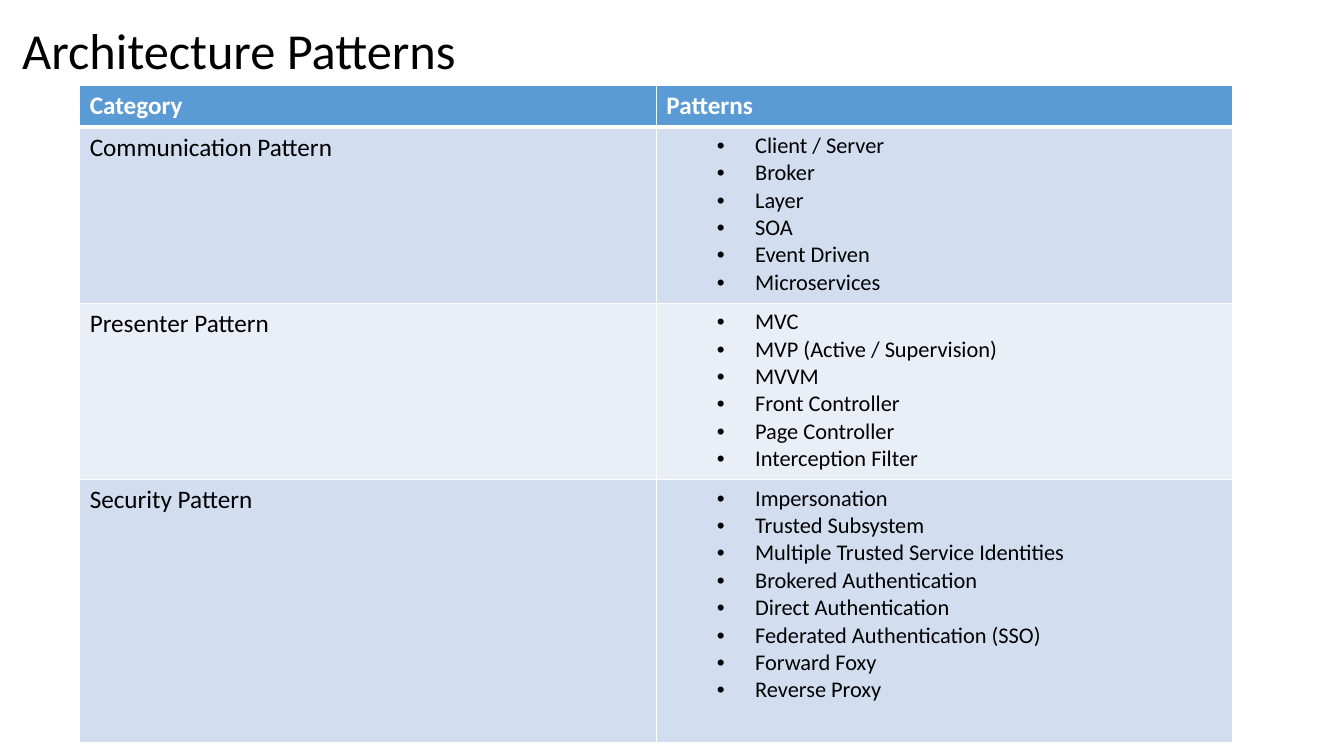
from dataclasses import dataclass

from lxml.etree import SubElement
from pptx import Presentation
from pptx.dml.color import RGBColor
from pptx.enum.text import MSO_ANCHOR, PP_ALIGN
from pptx.oxml.ns import qn
from pptx.slide import Slide
from pptx.table import Table, _Cell
from pptx.text.text import _Paragraph
from pptx.util import Inches, Pt


@dataclass(frozen=True)
class Theme:
    font: str = "Calibri"
    dark: str = "000000"
    light: str = "FFFFFF"
    head: str = "5B9BD5"
    bands: tuple[str, str] = ("D2DEEF", "EAEFF7")
    title: int = 36
    label: int = 18
    item: int = 16
    thin: int = 1
    thick: int = 3


@dataclass(frozen=True)
class Group:
    name: str
    height: float
    items: tuple[str, ...]


THEME = Theme()
HEADS = ("Category", "Patterns")
HEAD_H, COL_W = 0.41, 5.72
GROUPS = (
    Group("Communication Pattern", 1.75, (
        "Client / Server", "Broker", "Layer", "SOA", "Event Driven",
        "Microservices")),
    Group("Presenter Pattern", 1.75, (
        "MVC", "MVP (Active / Supervision)", "MVVM", "Front Controller",
        "Page Controller", "Interception Filter")),
    Group("Security Pattern", 2.61, (
        "Impersonation", "Trusted Subsystem",
        "Multiple Trusted Service Identities", "Brokered Authentication",
        "Direct Authentication", "Federated Authentication (SSO)",
        "Forward Foxy", "Reverse Proxy")),
)


def style(para: _Paragraph, size: int, color: str, bold: bool = False) -> None:
    form = {"name": THEME.font, "size": Pt(size), "bold": bold}
    for run in para.runs:
        for key, value in form.items():
            setattr(run.font, key, value)
        run.font.color.rgb = RGBColor.from_string(color)


def bullet(para: _Paragraph) -> None:
    para.level = 1
    props = para._p.get_or_add_pPr()
    props.set("marL", str(Inches(0.88)))
    props.set("indent", str(Inches(-0.38)))
    SubElement(props, qn("a:buFont"), typeface="Arial")
    SubElement(props, qn("a:buChar"), char="•")


def paint(cell: _Cell, color: str, top: int, base: int) -> None:
    props = cell._tc.get_or_add_tcPr()
    sides = {"L": THEME.thin, "R": THEME.thin, "T": top, "B": base}
    for side, width in sides.items():
        line = SubElement(props, qn(f"a:ln{side}"), w=str(Pt(width)))
        fill = SubElement(line, qn("a:solidFill"))
        SubElement(fill, qn("a:srgbClr"), val=THEME.light)
    cell.fill.solid()
    cell.fill.fore_color.rgb = RGBColor.from_string(color)


def add_title(slide: Slide, text: str) -> None:
    title = slide.shapes.title
    place = {"left": Inches(0.12), "top": Inches(0),
             "width": Inches(10), "height": Inches(0.85)}
    for key, value in place.items():
        setattr(title, key, value)
    frame = title.text_frame
    frame.text = text
    frame.vertical_anchor = MSO_ANCHOR.BOTTOM
    para = frame.paragraphs[0]
    para.alignment = PP_ALIGN.LEFT
    para.line_spacing = 0.9
    style(para, THEME.title, THEME.dark)


def fill_head(table: Table) -> None:
    table.rows[0].height = Inches(HEAD_H)
    for col, text in enumerate(HEADS):
        cell = table.cell(0, col)
        cell.text = text
        style(cell.text_frame.paragraphs[0], THEME.label, THEME.light, True)
        paint(cell, THEME.head, THEME.thin, THEME.thick)


def fill_row(table: Table, row: int, group: Group) -> None:
    table.rows[row].height = Inches(group.height)
    name, items = table.cell(row, 0), table.cell(row, 1)
    name.text = group.name
    style(name.text_frame.paragraphs[0], THEME.label, THEME.dark)
    items.text = "\n".join(group.items)
    for para in items.text_frame.paragraphs:
        bullet(para)
        style(para, THEME.item, THEME.dark)
    top = THEME.thick if row == 1 else THEME.thin
    for cell in (name, items):
        paint(cell, THEME.bands[(row - 1) % 2], top, THEME.thin)


def add_grid(slide: Slide) -> None:
    height = HEAD_H + sum(group.height for group in GROUPS)
    table = slide.shapes.add_table(
        len(GROUPS) + 1, len(HEADS), Inches(0.79), Inches(0.85),
        Inches(COL_W * len(HEADS)), Inches(height)).table
    for col in table.columns:
        col.width = Inches(COL_W)
    fill_head(table)
    for row, group in enumerate(GROUPS, 1):
        fill_row(table, row, group)


def main() -> None:
    deck = Presentation()
    deck.slide_width, deck.slide_height = Inches(13.33), Inches(7.5)
    # Title Only layout
    slide = deck.slides.add_slide(deck.slide_layouts[5])
    # Heading
    add_title(slide, "Architecture Patterns")
    # Table of patterns
    add_grid(slide)
    deck.save("out.pptx")


if __name__ == "__main__":
    main()
